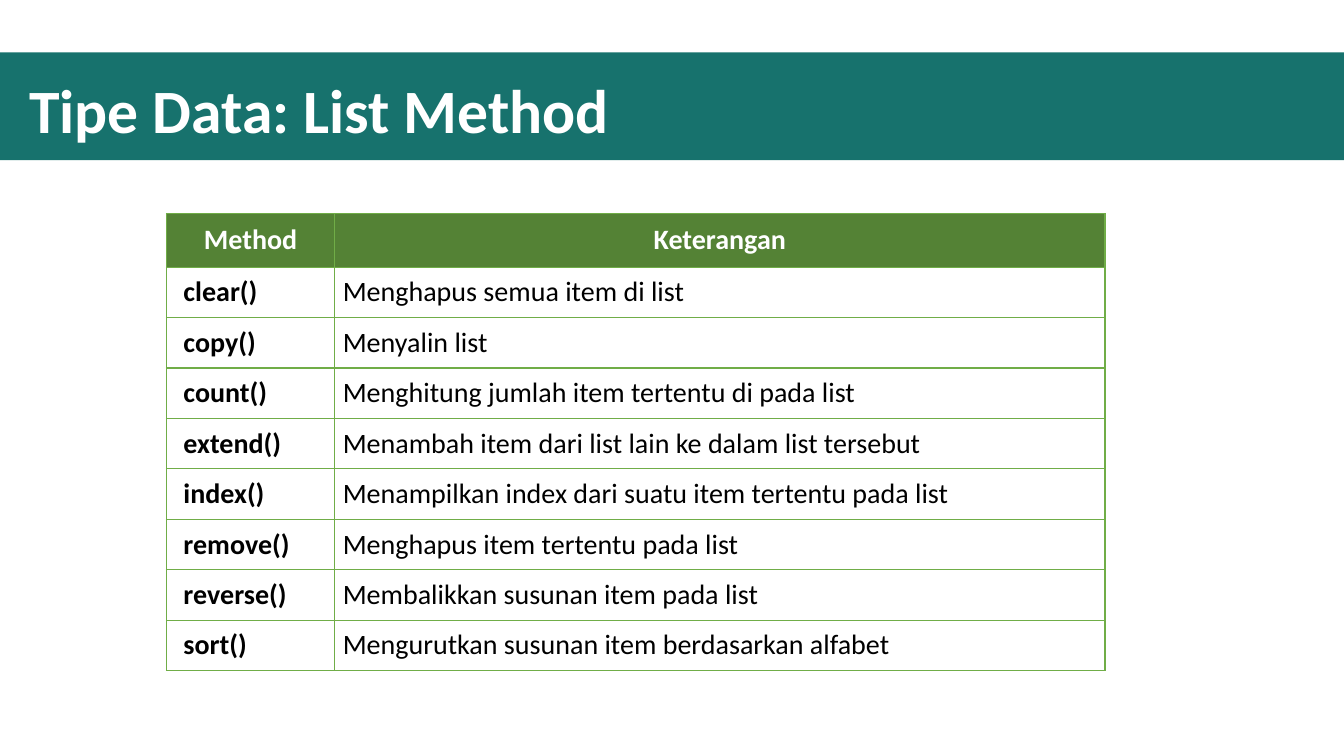
from dataclasses import dataclass

from lxml import etree
from pptx import Presentation
from pptx.dml.color import RGBColor
from pptx.enum.shapes import MSO_SHAPE
from pptx.enum.text import MSO_ANCHOR, MSO_AUTO_SIZE, PP_ALIGN
from pptx.oxml.ns import qn
from pptx.util import Inches, Pt

RECTANGLE = MSO_SHAPE.RECTANGLE
MIDDLE, TOP = MSO_ANCHOR.MIDDLE, MSO_ANCHOR.TOP
LEFT, CENTER = PP_ALIGN.LEFT, PP_ALIGN.CENTER
NO_AUTOFIT = MSO_AUTO_SIZE.NONE
TITLE_ONLY = 5


@dataclass(frozen=True)
class Theme:
    """Colours, font and type sizes of the slide."""
    font: str = "Calibri"
    title_size: int = 44
    table_size: int = 20
    band: str = "17726D"
    header: str = "548235"
    border: str = "70AD47"
    light: str = "FFFFFF"
    dark: str = "000000"


THEME = Theme()
HEADINGS = ("Method", "Keterangan")
METHODS = (
    ("clear()", "Menghapus semua item di list"),
    ("copy()", "Menyalin list"),
    ("count()", "Menghitung jumlah item tertentu di pada list"),
    ("extend()", "Menambah item dari list lain ke dalam list tersebut"),
    ("index()", "Menampilkan index dari suatu item tertentu pada list"),
    ("remove()", "Menghapus item tertentu pada list"),
    ("reverse()", "Membalikkan susunan item pada list"),
    ("sort()", "Mengurutkan susunan item berdasarkan alfabet"),
)


def style_paragraph(paragraph, size, color, bold, alignment):
    """Set the font and alignment of a paragraph."""
    paragraph.alignment = alignment
    font = paragraph.font
    font.name, font.size, font.bold = THEME.font, Pt(size), bold
    font.color.rgb = RGBColor.from_string(color)


def add_title(slide, text):
    """Fill the title placeholder and lay the colour band behind it."""
    title = slide.shapes.title
    title.left, title.top = Inches(0.19), Inches(0.4)
    title.width, title.height = Inches(12.23), Inches(1.45)
    frame = title.text_frame
    frame.text = text
    frame.auto_size = NO_AUTOFIT
    frame.vertical_anchor = MIDDLE
    paragraph = frame.paragraphs[0]
    paragraph.line_spacing = 0.9
    style_paragraph(paragraph, THEME.title_size, THEME.light, True, LEFT)

    band = slide.shapes.add_shape(
        RECTANGLE, 0, Inches(0.52), Inches(13.33), Inches(1.07))
    band.shadow.inherit = False
    band.fill.solid()
    band.fill.fore_color.rgb = RGBColor.from_string(THEME.band)
    band.line.fill.background()
    title.element.addprevious(band.element)


def set_borders(cell):
    """Draw a thin line on all four sides of a cell."""
    properties = cell._tc.get_or_add_tcPr()
    for side in ("a:lnL", "a:lnR", "a:lnT", "a:lnB"):
        line = etree.SubElement(properties, qn(side), w=str(Pt(1)))
        fill = etree.SubElement(line, qn("a:solidFill"))
        etree.SubElement(fill, qn("a:srgbClr"), val=THEME.border)


def fill_cell(cell, text, is_header, is_method):
    """Write one table cell and style it by its role."""
    cell.text = text
    set_borders(cell)
    if is_header:
        cell.fill.solid()
        cell.fill.fore_color.rgb = RGBColor.from_string(THEME.header)
        cell.vertical_anchor = MIDDLE
        margins = (0.1, 0.05, 0.1, 0.05)
    else:
        cell.fill.background()
        cell.vertical_anchor = TOP
        margins = (0.17 if is_method else 0.08, 0.08, 0.08, 0.08)
    (cell.margin_left, cell.margin_top,
     cell.margin_right, cell.margin_bottom) = map(Inches, margins)
    style_paragraph(
        cell.text_frame.paragraphs[0], THEME.table_size,
        THEME.light if is_header else THEME.dark,
        is_header or is_method, CENTER if is_header else LEFT)


def add_method_table(slide):
    """Add the table of list methods and their descriptions."""
    rows = (HEADINGS, *METHODS)
    table = slide.shapes.add_table(
        len(rows), len(HEADINGS), Inches(1.65), Inches(2.12),
        Inches(9.31), Inches(4.53)).table
    table.horz_banding = False
    for column, width in zip(table.columns, (1.67, 7.64)):
        column.width = Inches(width)
    for row_index, texts in enumerate(rows):
        table.rows[row_index].height = Inches(0.5 if row_index else 0.53)
        for column_index, text in enumerate(texts):
            fill_cell(table.cell(row_index, column_index), text,
                      row_index == 0, column_index == 0)


def main():
    """Build and save the presentation."""
    presentation = Presentation()
    presentation.slide_width = Inches(13.33)
    presentation.slide_height = Inches(7.5)
    slide = presentation.slides.add_slide(
        presentation.slide_layouts[TITLE_ONLY])
    add_title(slide, "Tipe Data: List Method")
    add_method_table(slide)
    presentation.save("out.pptx")


if __name__ == "__main__":
    main()
